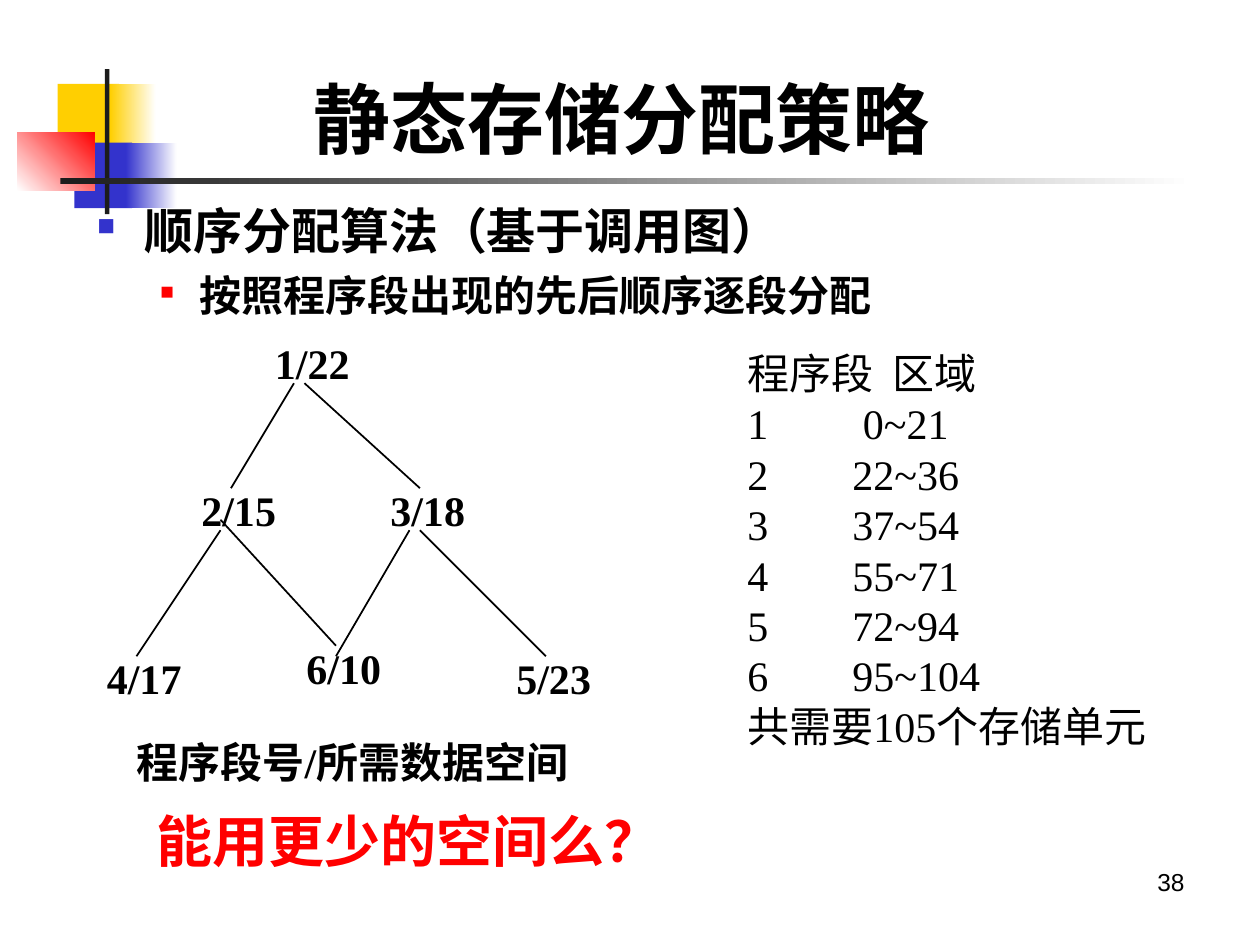
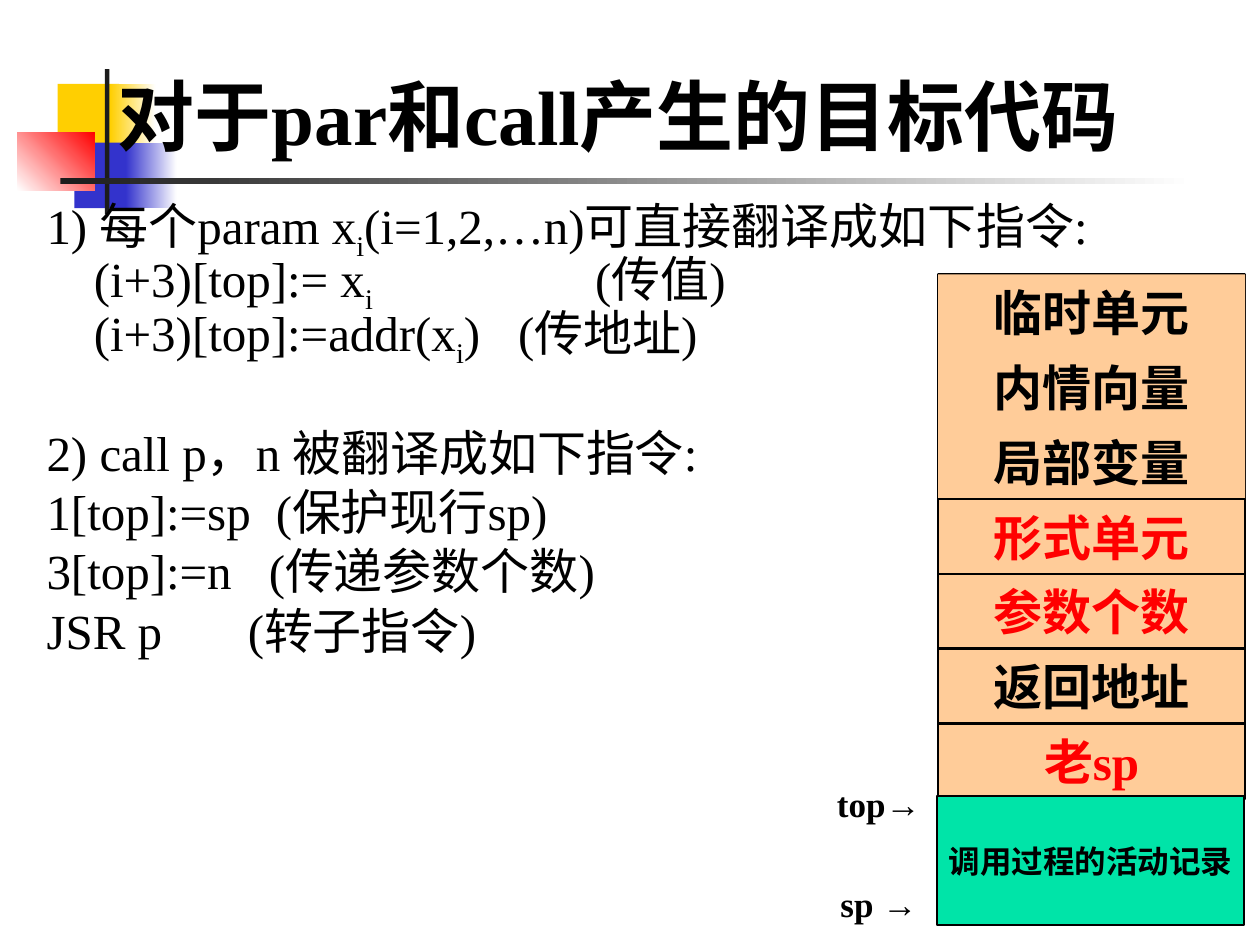
from lxml import etree
from pptx import Presentation
from pptx.dml.color import RGBColor
from pptx.enum.shapes import MSO_CONNECTOR, MSO_SHAPE
from pptx.enum.text import MSO_ANCHOR, MSO_AUTO_SIZE, PP_ALIGN
from pptx.oxml.ns import qn
from pptx.util import Pt

COLORS = {
    "black": "000000", "white": "FFFFFF", "red": "FF0000", "yellow": "FFCF01",
    "blue": "3333CC", "ink": "1C1C1C", "peach": "FFCC99", "green": "00E4A8",
}
RGB = {name: RGBColor.from_string(value) for name, value in COLORS.items()}
SERIF, SANS = "Times New Roman", "Arial"


def add_rect(slide, box, fill, fill_to=None, angle=0, line=None):
    sp = slide.shapes.add_shape(MSO_SHAPE.RECTANGLE, *map(Pt, box))
    sp.shadow.inherit = False
    if fill_to:
        sp.fill.gradient()
        sp.fill.gradient_angle = angle
        for stop, color in zip(sp.fill.gradient_stops, (fill, fill_to)):
            stop.color.rgb = RGB[color]
    else:
        sp.fill.solid()
        sp.fill.fore_color.rgb = RGB[fill]
    if line:
        sp.line.color.rgb = RGB["black"]
        sp.line.width = Pt(line)
    else:
        sp.line.fill.background()
    return sp


def write(sp, text, size=24, color="black", bold=False, font=SERIF, mark="sub",
          align=PP_ALIGN.LEFT, anchor=MSO_ANCHOR.TOP, wrap=True, before=0, spacing=None,
          left=0, hang=0, bullet=None, bullet_size=50, tabs=()):
    """Add one paragraph; parts between bars are subscript, or in the font named by mark."""
    tf = sp.text_frame
    tf.auto_size, tf.word_wrap, tf.vertical_anchor = MSO_AUTO_SIZE.NONE, wrap, anchor
    p = tf.add_paragraph() if tf.text else tf.paragraphs[0]
    p.alignment, p.space_before = align, Pt(before)
    if spacing:
        p.line_spacing = spacing
    pPr = p._p.get_or_add_pPr()
    if bullet:
        pPr.set("marL", str(Pt(left)))
        pPr.set("indent", str(Pt(-hang)))
        clr = etree.SubElement(pPr, qn("a:buClr"))
        etree.SubElement(clr, qn("a:srgbClr"), val=COLORS[bullet])
        etree.SubElement(pPr, qn("a:buSzPct"), val=str(bullet_size * 1000))
        etree.SubElement(pPr, qn("a:buChar"), char="■")
    if tabs:  # an explicit indent would make LibreOffice drop the tab stops
        tab_list = etree.SubElement(pPr, qn("a:tabLst"))
        for pos in tabs:
            etree.SubElement(tab_list, qn("a:tab"), pos=str(Pt(pos)), algn="l")
    for i, part in enumerate(text.split("|")):
        if not part:
            continue
        r = p.add_run()
        r.text = part
        r.font.size, r.font.bold, r.font.name = Pt(size), bold, font
        r.font.color.rgb = RGB[color]
        rPr = r._r.get_or_add_rPr()
        rPr.set("lang", "zh-CN")
        if i % 2 and mark == "sub":
            rPr.set("baseline", "-25000")
        elif i % 2:
            r.font.name = mark


prs = Presentation()
prs.slide_width, prs.slide_height = Pt(720), Pt(540)

# Shared decoration and title
slides = []
for title, title_box in [
    ("静态存储分配策略", (172, 34.5, 370, 65.5)),
    ("对于par和call产生的目标代码", (60, 31.7, 632, 67.7)),
]:
    slide = prs.slides.add_slide(prs.slide_layouts[5])
    slides.append(slide)
    add_rect(slide, (33, 48, 35, 37.5), "yellow")
    add_rect(slide, (63, 48, 26, 37.5), "yellow", "white")
    add_rect(slide, (42.5, 81.5, 33, 37.5), "blue")
    add_rect(slide, (72, 81.5, 29, 37.5), "blue", "white")
    add_rect(slide, (10, 75.5, 44, 33.5), "white", "red", angle=45)
    add_rect(slide, (60, 39.5, 2.5, 83), "ink")
    add_rect(slide, (34.5, 102, 648, 3), "ink", "white")

    sp = slide.shapes.title
    slide.shapes._spTree.append(sp._element)  # title in front of the decoration
    sp.left, sp.top, sp.width, sp.height = map(Pt, title_box)
    write(sp, title, size=44, bold=True, anchor=MSO_ANCHOR.MIDDLE)

alloc, call = slides

# Slide 1: sequential allocation over the call graph
page = alloc.shapes.add_textbox(Pt(516), Pt(492), Pt(168), Pt(37))
write(page, "38", size=14, font=SANS, align=PP_ALIGN.RIGHT)

body = alloc.shapes.add_textbox(Pt(48.5), Pt(111), Pt(642), Pt(84))
write(body, "顺序分配算法（基于调用图）", size=28, bold=True, left=27, hang=27, bullet="blue")
write(body, "按照程序段出现的先后顺序逐段分配", bold=True, before=6,
      left=58.5, hang=22.5, bullet="red", bullet_size=45)

for label, x, y in [
    ("1/22", 150, 189.5), ("2/15", 108, 273.5), ("3/18", 216, 273.5),
    ("4/17", 54, 369.5), ("6/10", 168, 363.5), ("5/23", 288, 369.5),
]:
    write(alloc.shapes.add_textbox(Pt(x), Pt(y), Pt(72), Pt(36)), label, bold=True)

for ends in [
    (168, 219, 132, 279), (174, 219, 240, 279), (126, 303, 78, 375),
    (126, 297, 192, 369), (234, 303, 192, 375), (240, 303, 312, 375),
]:
    edge = alloc.shapes.add_connector(MSO_CONNECTOR.STRAIGHT, *map(Pt, ends))
    edge.line.color.rgb, edge.line.width = RGB["black"], Pt(1)
    etree.SubElement(edge._element.spPr, qn("a:effectLst"))

regions = alloc.shapes.add_textbox(Pt(420), Pt(195), Pt(258), Pt(238))
write(regions, "程序段\t区域", tabs=[83])
for i, region in enumerate(["0~21", "22~36", "37~54", "55~71", "72~94", "95~104"], 1):
    write(regions, f"{i}\t{region}", tabs=[66 if i == 1 else 60])
write(regions, "共需要105个存储单元")

legend = alloc.shapes.add_textbox(Pt(71), Pt(417.5), Pt(276), Pt(36))
write(legend, "程序段号/所需数据空间", bold=True)
question = alloc.shapes.add_textbox(Pt(82.5), Pt(457.5), Pt(364), Pt(46))
write(question, "能用更少的空间么？", size=32, color="red", bold=True)

# Slide 2: target code beside the activation record
code = call.shapes.add_textbox(Pt(19.5), Pt(111.5), Pt(658), Pt(294))
for text, before, tabs in [
    ("1) 每个param x|i|(i=1,2,…n)可直接翻译成如下指令:", 0, []),
    ("\t(i+3)[top]:= x|i|\t(传值)", 0, [27, 313.5]),
    ("\t(i+3)[top]:=addr(x|i|)\t(传地址)", 0, [27, 269.5]),
    ("2) call p，n 被翻译成如下指令:", 41, []),
    ("1[top]:=sp\t(保护现行sp)", 7, [131]),
    ("3[top]:=n\t(传递参数个数)", 7, [127]),
    ("JSR p\t(转子指令)", 7, [115]),
]:
    write(code, text, size=28, spacing=0.8, before=before, tabs=tabs)

centred = {"bold": True, "align": PP_ALIGN.CENTER, "anchor": MSO_ANCHOR.MIDDLE, "wrap": False}
STACK_X, STACK_Y, STACK_W, CELL_H = 536, 156.8, 175.5, 42.8
add_rect(call, (STACK_X, STACK_Y, STACK_W, 7 * CELL_H), "peach", line=1.5)
for i, (label, color, line) in enumerate([
    ("临时单元", "black", None), ("内情向量", "black", None), ("局部变量", "black", None),
    ("形式单元", "red", 1.5), ("参数个数", "red", 1.5), ("返回地址", "black", 1.5),
    ("老sp", "red", 1.5),
]):
    cell = add_rect(call, (STACK_X, STACK_Y + i * CELL_H, STACK_W, CELL_H), "peach", line=line)
    write(cell, label, size=28, color=color, **centred)

caller = add_rect(call, (535.3, 455, 175.5, 73.5), "green", line=1)
write(caller, "调用过程的活动记录", size=18, **centred)

pointers = call.shapes.add_textbox(Pt(473.5), Pt(451), Pt(57.5), Pt(73.5))
write(pointers, "top|→", size=20, mark=SANS, **centred)
write(pointers, "sp |→", size=20, mark=SANS, before=33, **centred)

prs.save("out.pptx")
